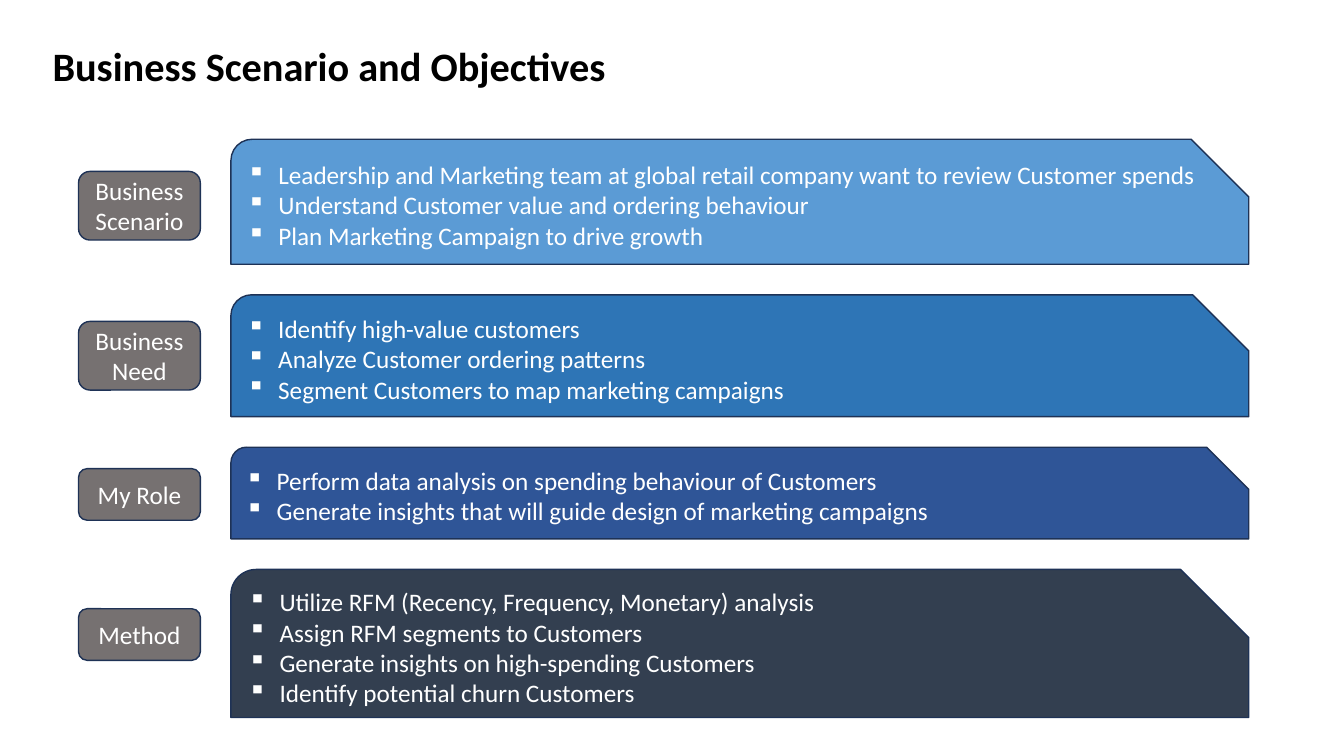
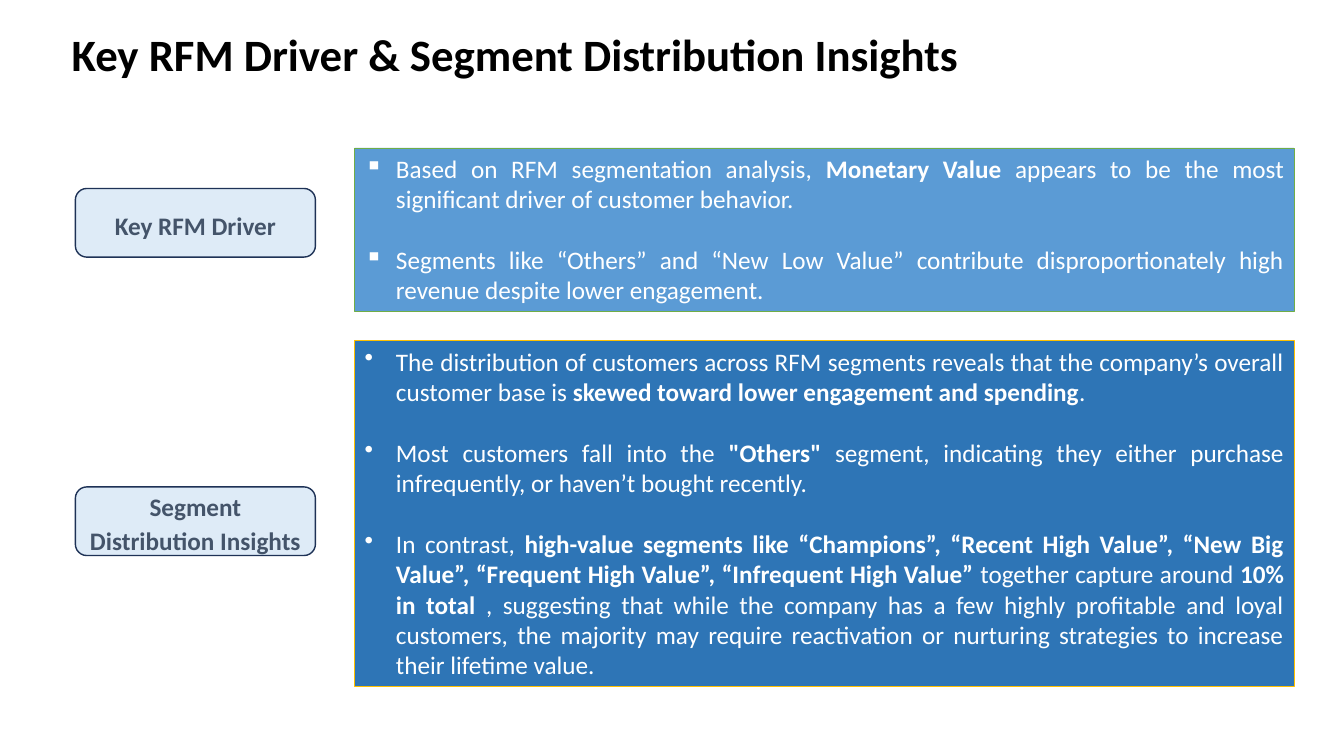
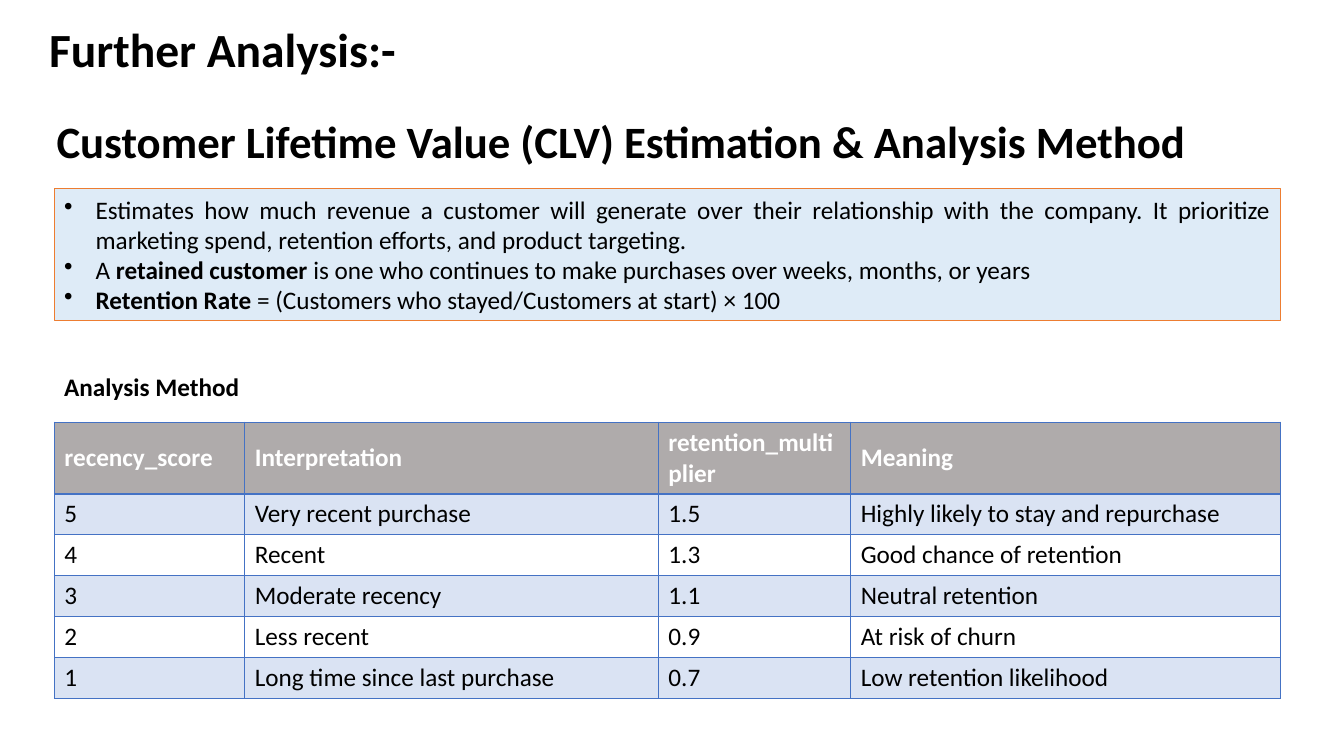
from dataclasses import dataclass

from lxml.etree import SubElement
from pptx import Presentation
from pptx.dml.color import RGBColor
from pptx.enum.shapes import MSO_SHAPE
from pptx.enum.text import MSO_ANCHOR, MSO_AUTO_SIZE, PP_ALIGN
from pptx.oxml.ns import qn
from pptx.util import Cm, Pt

FONT = "Calibri"
BODY_SIZE = 18
BLACK, WHITE = "000000", "FFFFFF"
NAVY, SLATE, GRAY, HEADER_GRAY = "1E3256", "44546A", "767171", "AFABAB"
SKY, BLUE, ROYAL, DARK = "5B9BD5", "2E75B6", "2F5597", "333F50"
PALE, BAND, GRID = "DEEBF7", "DAE3F3", "4472C4"
GREEN, GOLD, ORANGE = "70AD47", "FFC000", "ED7D31"
SQUARE, DOT = "▪", "•"


@dataclass
class Box:
    """Position and size in centimetres."""
    left: float
    top: float
    width: float
    height: float

    def emu(self) -> tuple:
        return Cm(self.left), Cm(self.top), Cm(self.width), Cm(self.height)


@dataclass
class TextStyle:
    color: str = BLACK
    size: float = BODY_SIZE
    bold: bool = False
    align: PP_ALIGN = PP_ALIGN.LEFT
    line_spacing: float = 1.0
    space_before: float = 0
    bullet: str = ""


@dataclass
class Panel:
    """A labelled box with a bulleted list."""
    label: str
    label_top: float
    label_height: float
    height: float
    fill: str
    items: list


def rgb(color: str) -> RGBColor:
    return RGBColor.from_string(color)


# Text helpers
def add_bullet(p, char: str) -> None:
    pPr = p._p.get_or_add_pPr()
    pPr.set("marL", str(Cm(0.79)))
    pPr.set("indent", str(-Cm(0.79)))
    SubElement(pPr, qn("a:buChar"), char=char)


def write_paragraph(p, text: str, style: TextStyle) -> None:
    """Write text; parts between double asterisks are bold."""
    p.alignment = style.align
    p.line_spacing = style.line_spacing
    if style.bullet:
        add_bullet(p, style.bullet)
    for i, part in enumerate(text.split("**")):
        if not part:
            continue
        r = p.add_run()
        r.text = part
        r.font.name = FONT
        r.font.size = Pt(style.size)
        r.font.bold = style.bold or i % 2 == 1
        r.font.color.rgb = rgb(style.color)


def write_text(tf, texts: list, style: TextStyle, anchor=MSO_ANCHOR.MIDDLE) -> None:
    tf.word_wrap = True
    tf.auto_size = MSO_AUTO_SIZE.NONE
    tf.vertical_anchor = anchor
    for i, text in enumerate(texts):
        p = tf.add_paragraph() if i else tf.paragraphs[0]
        if i and style.space_before:
            p.space_before = Pt(style.space_before)
        write_paragraph(p, text, style)


# Slide parts
def add_titled_slide(prs, title: str, box: Box, size: float = 32, line_spacing: float = 0.9):
    slide = prs.slides.add_slide(prs.slide_layouts[5])
    sp = slide.shapes.title
    sp.left, sp.top, sp.width, sp.height = box.emu()
    write_text(sp.text_frame, [title],
               TextStyle(size=size, bold=True, line_spacing=line_spacing))
    return slide


def add_box(slide, kind, box: Box, fill: str, line: str, line_width: float,
            texts: list, style: TextStyle, anchor=MSO_ANCHOR.MIDDLE):
    sp = slide.shapes.add_shape(kind, *box.emu())
    sp.shadow.inherit = False
    sp.fill.solid()
    sp.fill.fore_color.rgb = rgb(fill)
    sp.line.color.rgb = rgb(line)
    sp.line.width = Pt(line_width)
    write_text(sp.text_frame, texts, style, anchor)
    return sp


def add_label(slide, box: Box, text: str, fill: str, style: TextStyle) -> None:
    add_box(slide, MSO_SHAPE.ROUNDED_RECTANGLE, box, fill, NAVY, 1, [text], style)


def add_caption(slide, box: Box, text: str, style: TextStyle, anchor=MSO_ANCHOR.MIDDLE) -> None:
    write_text(slide.shapes.add_textbox(*box.emu()).text_frame, [text], style, anchor)


def set_borders(cell, bottom: float, top: float) -> None:
    tcPr = cell._tc.get_or_add_tcPr()
    for side, width in (("L", 1), ("R", 1), ("T", top), ("B", bottom)):
        ln = SubElement(tcPr, qn(f"a:ln{side}"), w=str(Pt(width)))
        SubElement(SubElement(ln, qn("a:solidFill")), qn("a:srgbClr"), val=GRID)


def add_grid(slide, left: float, top: float, widths: list, header_height: float,
             row_height: float, rows: list) -> None:
    heights = [header_height] + [row_height] * (len(rows) - 1)
    box = Box(left, top, sum(widths), sum(heights))
    table = slide.shapes.add_table(len(rows), len(widths), *box.emu()).table
    for column, width in zip(table.columns, widths):
        column.width = Cm(width)
    for i, (row, height) in enumerate(zip(rows, heights)):
        table.rows[i].height = Cm(height)
        header = i == 0
        fill = HEADER_GRAY if header else BAND if i % 2 else WHITE
        style = TextStyle(color=WHITE if header else BLACK, bold=header)
        for j, text in enumerate(row):
            cell = table.cell(i, j)
            set_borders(cell, bottom=2 if header else 1, top=2 if i == 1 else 1)
            cell.fill.solid()
            cell.fill.fore_color.rgb = rgb(fill)
            cell.vertical_anchor = MSO_ANCHOR.MIDDLE
            write_paragraph(cell.text_frame.paragraphs[0], text, style)


# Slides
def scenario_slide(prs) -> None:
    slide = add_titled_slide(prs, "Business Scenario and Objectives",
                             Box(1.07, 1.02, 29.21, 1.42), size=28.8)
    panels = [
        Panel("Business Scenario", 4.32, 1.73, 3.15, SKY, [
            "Leadership and Marketing team at global retail company want to review Customer spends",
            "Understand Customer value and ordering behaviour",
            "Plan Marketing Campaign to drive growth"]),
        Panel("Business Need", 8.1, 1.73, 3.07, BLUE, [
            "Identify high-value customers",
            "Analyze Customer ordering patterns",
            "Segment Customers to map marketing campaigns"]),
        Panel("My Role", 11.81, 1.3, 2.31, ROYAL, [
            "Perform data analysis on spending behaviour of Customers",
            "Generate insights that will guide design of marketing campaigns"]),
        Panel("Method", 15.34, 1.3, 3.73, DARK, [
            "Utilize RFM (Recency, Frequency, Monetary) analysis",
            "Assign RFM segments to Customers",
            "Generate insights on high-spending Customers",
            "Identify potential churn Customers"]),
    ]
    label_style = TextStyle(WHITE, align=PP_ALIGN.CENTER)
    list_style = TextStyle(WHITE, bullet=SQUARE)
    top, gap = 3.51, 0.77
    for panel in panels:
        add_label(slide, Box(1.98, panel.label_top, 3.07, panel.label_height),
                  panel.label, GRAY, label_style)
        sp = add_box(slide, MSO_SHAPE.SNIP_ROUND_RECTANGLE, Box(5.82, top, 25.65, panel.height),
                     panel.fill, NAVY, 1, panel.items, list_style)
        sp.adjustments[0] = 0.17
        sp.adjustments[1] = 0.46
        top += panel.height + gap


def insights_slide(prs) -> None:
    slide = add_titled_slide(prs, "Key RFM Driver & Segment Distribution Insights",
                             Box(1.55, 0.38, 29.9, 1.73), line_spacing=1.15)
    driver = Panel("Key RFM Driver", 4.75, 1.73, 4.11, SKY, [
        "Based on RFM segmentation analysis, **Monetary Value** appears to be the most "
        "significant driver of customer behavior.",
        "Segments like “Others” and “New Low Value” contribute disproportionately high "
        "revenue despite lower engagement."])
    distribution = Panel("Segment Distribution Insights", 12.27, 1.73, 8.71, BLUE, [
        "The distribution of customers across RFM segments reveals that the company’s overall "
        "customer base is **skewed toward lower engagement and spending**.",
        "Most customers fall into the **\"Others\"** segment, indicating they either purchase "
        "infrequently, or haven’t bought recently.",
        "In contrast, **high-value segments like “Champions”, “Recent High Value”, “New Big "
        "Value”, “Frequent High Value”, “Infrequent High Value” **together capture around"
        "** 10% in total **, suggesting that while the company has a few highly profitable and "
        "loyal customers, the majority may require reactivation or nurturing strategies to "
        "increase their lifetime value."])
    label_style = TextStyle(SLATE, bold=True, align=PP_ALIGN.CENTER, line_spacing=1.15)
    top, gap = 3.73, 0.75
    for panel, line, bullet in ((driver, GREEN, SQUARE), (distribution, GOLD, DOT)):
        add_label(slide, Box(1.9, panel.label_top, 6.05, panel.label_height),
                  panel.label, PALE, label_style)
        list_style = TextStyle(WHITE, align=PP_ALIGN.JUSTIFY, space_before=22, bullet=bullet)
        add_box(slide, MSO_SHAPE.RECTANGLE, Box(8.94, top, 23.67, panel.height),
                panel.fill, line, 0.5, panel.items, list_style, MSO_ANCHOR.TOP)
        top += panel.height + gap


def lifetime_value_slide(prs) -> None:
    slide = add_titled_slide(prs, "Customer Lifetime Value (CLV) Estimation & Analysis Method",
                             Box(1.17, 2.87, 29.34, 1.5))
    left = 1.37
    add_caption(slide, Box(0.99, 0.53, 29.34, 1.57), "Further Analysis:-",
                TextStyle(size=34, bold=True, line_spacing=0.9))
    add_box(slide, MSO_SHAPE.RECTANGLE, Box(left, 4.75, 30.91, 3.33), PALE, ORANGE, 0.5, [
        "Estimates how much revenue a customer will generate over their relationship with the "
        "company. It prioritize marketing spend, retention efforts, and product targeting.",
        "A **retained customer** is one who continues to make purchases over weeks, months, "
        "or years",
        "**Retention Rate **= (Customers who stayed/Customers at start) × 100",
    ], TextStyle(align=PP_ALIGN.JUSTIFY, bullet=DOT))
    add_caption(slide, Box(left, 9.22, 16.94, 1.02), "Analysis Method",
                TextStyle(bold=True), MSO_ANCHOR.TOP)
    add_grid(slide, left, 10.64, [4.8, 10.42, 4.85, 10.84], 1.79, 1.03, [
        ("recency_score", "Interpretation", "retention_multiplier", "Meaning"),
        ("5", "Very recent purchase", "1.5", "Highly likely to stay and repurchase"),
        ("4", "Recent", "1.3", "Good chance of retention"),
        ("3", "Moderate recency", "1.1", "Neutral retention"),
        ("2", "Less recent", "0.9", "At risk of churn"),
        ("1", "Long time since last purchase", "0.7", "Low retention likelihood"),
    ])


def main() -> None:
    prs = Presentation()
    prs.slide_width, prs.slide_height = Cm(33.87), Cm(19.05)
    scenario_slide(prs)
    insights_slide(prs)
    lifetime_value_slide(prs)
    prs.save("out.pptx")


if __name__ == "__main__":
    main()
